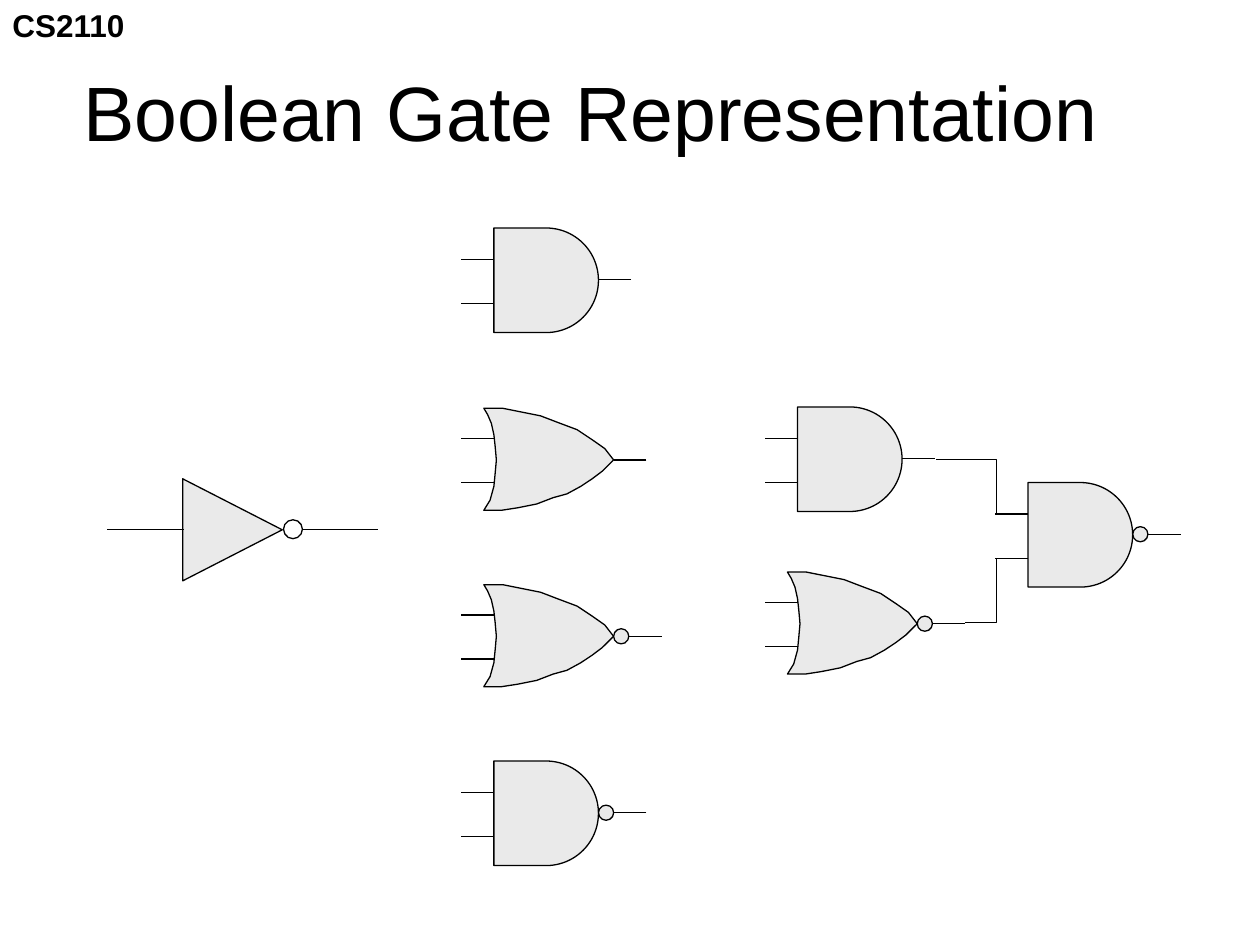
import pptx
import pptx.util
import pptx.dml.color
import pptx.enum.shapes
import pptx.enum.text
import pptx.oxml
from dataclasses import dataclass
from lxml import etree

Inches = pptx.util.Inches
Pt = pptx.util.Pt
SHAPE = pptx.enum.shapes.MSO_SHAPE
CONNECTOR = pptx.enum.shapes.MSO_CONNECTOR
ALIGN = pptx.enum.text.PP_ALIGN
ANCHOR = pptx.enum.text.MSO_ANCHOR


@dataclass(frozen=True)
class Theme:
    font: str = "Arial"
    ink: str = "000000"
    gate: str = "EAEAEA"
    title_size: int = 44
    label_size: int = 18
    line_width: float = 0.75


THEME = Theme()
COURSE = "CS2110"
TITLE = "Boolean Gate Representation"

# kind, body edge where the inputs arrive, body top, inverted output
GATES = [
    ("and", 3.92, 1.81, False),
    ("or", 3.92, 3.24, False),
    ("or", 3.92, 4.64, True),
    ("and", 3.92, 6.04, True),
    ("and", 6.33, 3.23, False),
    ("or", 6.33, 4.54, True),
    ("and", 8.16, 3.83, True),
]
# offset of the body, its width, and the input heights below its top
GATE_FORMS = {
    "and": (0, 0.83, (0.25, 0.6)),
    "or": (-0.08, 1.03, (0.24, 0.59)),
}
BODY_HEIGHT, STUB, BUBBLE = 0.83, 0.26, 0.12
OUTPUT_DROP = 0.41

# Or-gate outline in hundredths of an inch
OR_OUTLINE = [
    (0, 0), (15, 0), (30, 3), (45, 6), (58, 11), (74, 17), (86, 25), (96, 32),
    (103, 41), (94, 50), (86, 56), (77, 62), (66, 68), (55, 71), (42, 76),
    (27, 79), (14, 81), (7, 81), (0, 81), (5, 73), (8, 62), (9, 52), (10, 41),
    (9, 30), (8, 21), (6, 12), (3, 5),
]
# Wires between gates: from an output to an input
WIRES = [((7.43, 3.65), (7.91, 4.08)), ((7.66, 4.94), (7.91, 4.43))]


def color(value):
    return pptx.dml.color.RGBColor.from_string(value)


def write(box, text, size, bold=False, align=ALIGN.LEFT, anchor=ANCHOR.TOP):
    frame = box.text_frame
    frame.vertical_anchor = anchor
    para = frame.paragraphs[0]
    para.alignment = align
    span = para.add_run()
    span.text = text
    span.font.name = THEME.font
    span.font.size = Pt(size)
    span.font.bold = bold
    span.font.color.rgb = color(THEME.ink)


def outline(item):
    item.line.color.rgb = color(THEME.ink)
    item.line.width = Pt(THEME.line_width)


def style_body(body, filled=True):
    body.shadow.inherit = False
    if filled:
        body.fill.solid()
        body.fill.fore_color.rgb = color(THEME.gate)
    else:
        body.fill.background()
    outline(body)


def add_preset(shapes, kind, left, top, width, height, filled=True):
    body = shapes.add_shape(kind, Inches(left), Inches(top), Inches(width), Inches(height))
    style_body(body, filled)
    return body


def add_line(shapes, start, end, kind=CONNECTOR.STRAIGHT):
    line = shapes.add_connector(kind, *(Inches(v) for v in (*start, *end)))
    outline(line)
    etree.SubElement(line._element.spPr, pptx.oxml.ns.qn("a:effectLst"))
    return line


def add_wire(shapes, start, end):
    """Run level from start, then turn once to reach end vertically."""
    wire = add_line(shapes, start, end, CONNECTOR.ELBOW)
    guides = wire._element.spPr.find(".//" + pptx.oxml.ns.qn("a:avLst"))
    etree.SubElement(guides, pptx.oxml.ns.qn("a:gd"), name="adj1", fmla="val 100000")


def add_gate(page, kind, edge, top, inverted):
    shapes = page.shapes.add_group_shape().shapes
    offset, width, inputs = GATE_FORMS[kind]
    left = edge + offset
    if kind == "and":
        add_preset(shapes, SHAPE.FLOWCHART_DELAY, left, top, width, BODY_HEIGHT)
    else:
        builder = shapes.build_freeform(*OR_OUTLINE[0], scale=Inches(0.01))
        builder.add_line_segments(OR_OUTLINE[1:], close=True)
        style_body(builder.convert_to_shape(Inches(left), Inches(top)))

    output, middle = left + width, top + OUTPUT_DROP
    if inverted:
        add_preset(shapes, SHAPE.OVAL, output, middle - BUBBLE / 2, BUBBLE, BUBBLE)
        output += BUBBLE
    for drop in inputs:
        add_line(shapes, (edge, top + drop), (edge - STUB, top + drop))
    add_line(shapes, (output + STUB, middle), (output, middle))


def add_inverter(page):
    shapes = page.shapes.add_group_shape().shapes
    middle, bubble = 4.2, 0.15
    triangle = add_preset(shapes, SHAPE.ISOSCELES_TRIANGLE, 1.44, 3.81, 0.81, 0.79)
    triangle.rotation = 90
    add_preset(shapes, SHAPE.OVAL, 2.25, middle - bubble / 2, bubble, bubble, filled=False)
    for start, end in ((2.4, 3), (0.85, 1.46)):
        add_line(shapes, (start, middle), (end, middle))


def main():
    deck = pptx.Presentation()
    deck.slide_width, deck.slide_height = Inches(10), Inches(7.5)
    page = deck.slides.add_slide(deck.slide_layouts[5])

    title = page.shapes.title
    title.left, title.top = Inches(0.44), Inches(0.25)
    title.width, title.height = Inches(8.5), Inches(1.25)
    write(title, TITLE, THEME.title_size, align=ALIGN.CENTER, anchor=ANCHOR.MIDDLE)

    label = page.shapes.add_textbox(0, 0, Inches(1.1), Inches(0.4))
    label.text_frame.word_wrap = False
    label.text_frame.auto_size = pptx.enum.text.MSO_AUTO_SIZE.SHAPE_TO_FIT_TEXT
    write(label, COURSE, THEME.label_size, bold=True)

    add_inverter(page)
    for gate in GATES:
        add_gate(page, *gate)
    for start, end in WIRES:
        add_wire(page.shapes, start, end)

    deck.save("out.pptx")


if __name__ == "__main__":
    main()
